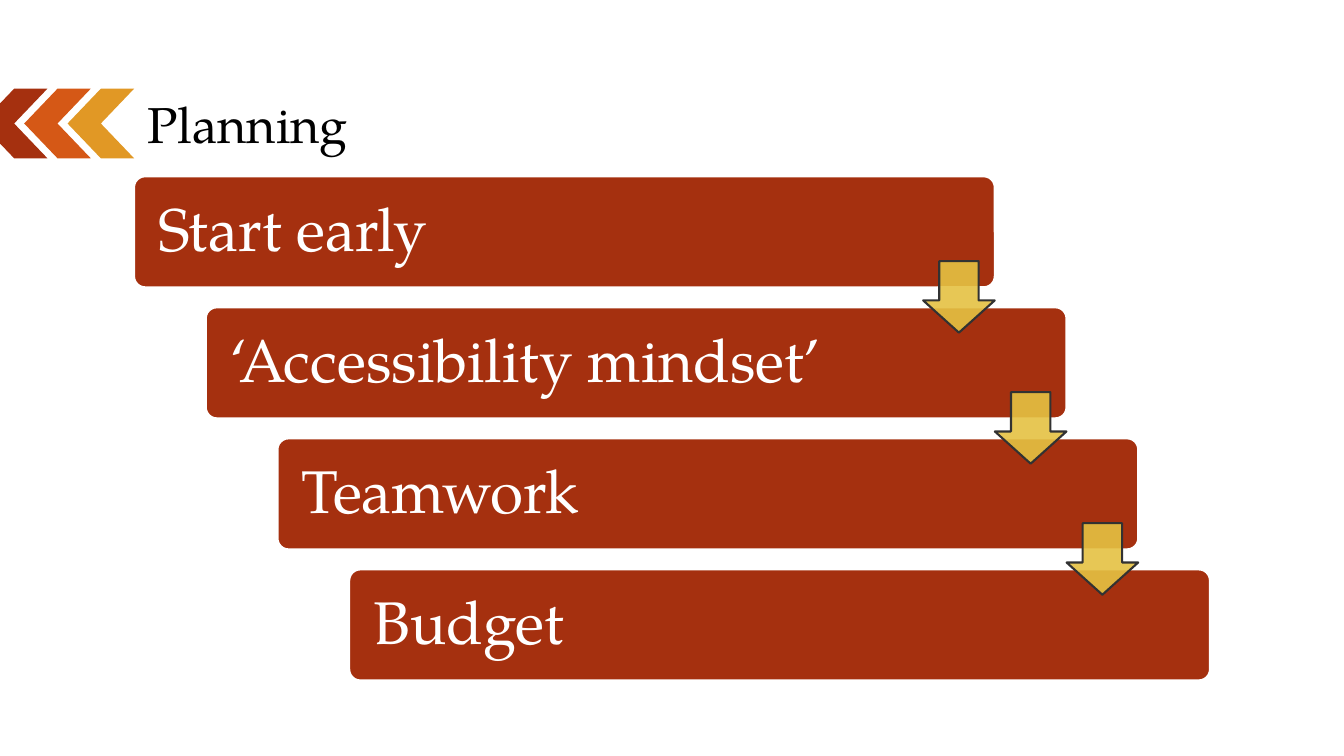
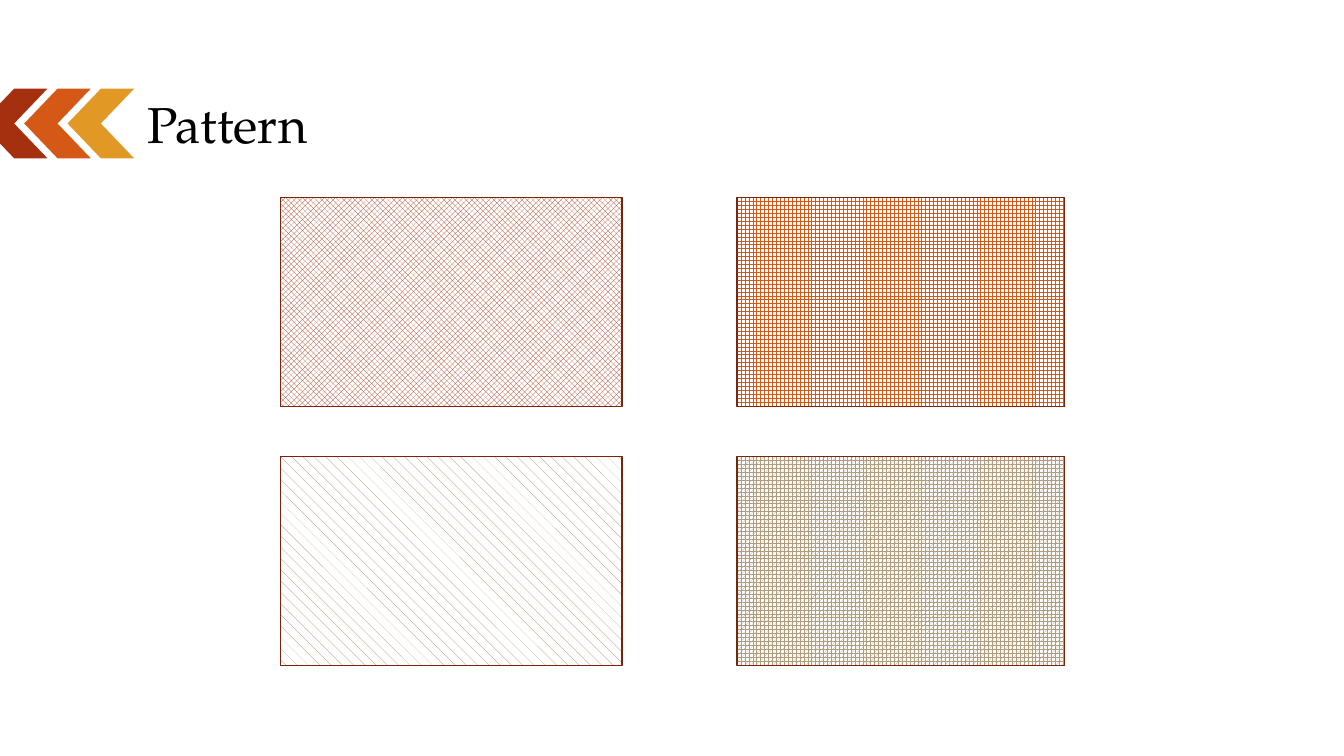
from lxml import etree
from pptx import Presentation
from pptx.dml.color import RGBColor
from pptx.enum.dml import MSO_PATTERN
from pptx.enum.shapes import MSO_SHAPE
from pptx.enum.text import MSO_ANCHOR, PP_ALIGN
from pptx.oxml.ns import qn
from pptx.util import Inches, Pt

CHEVRON = MSO_SHAPE.CHEVRON
ROUNDED = MSO_SHAPE.ROUNDED_RECTANGLE
DOWN_ARROW = MSO_SHAPE.DOWN_ARROW
RECTANGLE = MSO_SHAPE.RECTANGLE
MIDDLE, BOTTOM = MSO_ANCHOR.MIDDLE, MSO_ANCHOR.BOTTOM
LEFT = PP_ALIGN.LEFT
CHECKS, GRID = MSO_PATTERN.LARGE_CHECKER_BOARD, MSO_PATTERN.LARGE_GRID
SHINGLE, SPHERE = MSO_PATTERN.SHINGLE, MSO_PATTERN.SPHERE

FONT = "TeX Gyre Pagella"
COLORS = {
    "white": "FFFFFF",
    "black": "000000",
    "red": "A5300F",
    "orange": "D55816",
    "amber": "E19825",
    "gold": "E5C243",
    "charcoal": "323232",
    "maroon": "7A240B",
    "tan": "B19C7D",
    "brown": "B27D49",
}


def rgb(name):
    return RGBColor.from_string(COLORS[name])


def add_shape(s, kind, box, fill=None, line=None, width=1):
    sp = s.shapes.add_shape(kind, *map(Inches, box))
    sp.shadow.inherit = False
    if fill:
        sp.fill.solid()
        sp.fill.fore_color.rgb = rgb(fill)
    if line:
        sp.line.color.rgb = rgb(line)
        sp.line.width = Pt(width)
    else:
        sp.line.fill.background()
    return sp


def set_text(sp, text, size, color, anchor, insets):
    tf = sp.text_frame
    tf.word_wrap = True
    tf.vertical_anchor = anchor
    tf.margin_left, tf.margin_top, tf.margin_right, tf.margin_bottom = map(Inches, insets)
    p = tf.paragraphs[0]
    p.text = text
    p.alignment = LEFT
    p.font.name = FONT
    p.font.size = Pt(size)
    p.font.color.rgb = rgb(color)
    return p


def add_chevrons(s, box):
    left, top, width, height = box
    names = ("red", "orange", "amber")
    chevron_w = 0.66
    step = (width - chevron_w) / (len(names) - 1)
    for i, name in enumerate(names):
        sp = add_shape(s, CHEVRON, (left + i * step, top, chevron_w, height), name)
        sp.rotation = 180


def add_titled_slide(prs, title):
    s = prs.slides.add_slide(prs.slide_layouts[6])
    add_chevrons(s, (-0.19, 0.88, 1.52, 0.69))
    sp = s.shapes.add_textbox(*map(Inches, (1.33, 0.17, 10.67, 1.42)))
    set_text(sp, title, 36, "black", BOTTOM, (0.13, 0.07, 0.13, 0.07))
    return s


def add_step_arrow(s, box):
    sp = add_shape(s, DOWN_ARROW, box, "gold", "charcoal", 1.5)
    sp.adjustments[0] = 0.55
    sp.adjustments[1] = 0.45
    color = sp.fill._xPr.find(qn("a:solidFill"))[0]
    etree.SubElement(color, qn("a:alpha")).set("val", "90000")


def add_staircase(s, box, steps):
    left, top, width, height = box
    bar_w, bar_h, arrow = 0.8 * width, 0.22 * height, 0.71
    dx = (width - bar_w) / (len(steps) - 1)
    dy = (height - bar_h) / (len(steps) - 1)
    corners = [(left + i * dx, top + i * dy) for i in range(len(steps))]
    for (x, y), text in zip(corners, steps):
        sp = add_shape(s, ROUNDED, (x, y, bar_w, bar_h), "red", "white", 1.35)
        sp.adjustments[0] = 0.1
        p = set_text(sp, text, 43, "white", MIDDLE, (0.21, 0.18, 1.2, 0.18))
        p.line_spacing = 0.9
    for x, y in corners[:-1]:
        add_step_arrow(s, (x + bar_w - arrow, y + 0.84, arrow, arrow))


def add_swatches(s, box, rows):
    left, top, width, height = box
    column_widths, swatch_h = (3.39, 3.25), 2.07
    columns = ((left, column_widths[0]), (left + width - column_widths[1], column_widths[1]))
    dy = (height - swatch_h) / (len(rows) - 1)
    for i, row in enumerate(rows):
        for (x, w), (pattern, color) in zip(columns, row):
            sp = add_shape(s, RECTANGLE, (x, top + i * dy, w, swatch_h), line="maroon", width=0.85)
            sp.fill.patterned()
            sp.fill.pattern = pattern
            sp.fill.fore_color.rgb = rgb(color)
            sp.fill.back_color.rgb = rgb("white")


def main():
    prs = Presentation()
    prs.slide_width, prs.slide_height = Inches(13.33), Inches(7.5)

    s = add_titled_slide(prs, "Planning")
    steps = ("Start early", "‘Accessibility mindset’", "Teamwork", "Budget")
    add_staircase(s, (1.33, 1.75, 10.67, 5), steps)

    s = add_titled_slide(prs, "Pattern")
    rows = (
        ((CHECKS, "red"), (GRID, "orange")),
        ((SHINGLE, "brown"), (SPHERE, "tan")),
    )
    add_swatches(s, (2.78, 1.96, 7.78, 4.64), rows)

    prs.save("out.pptx")


if __name__ == "__main__":
    main()
